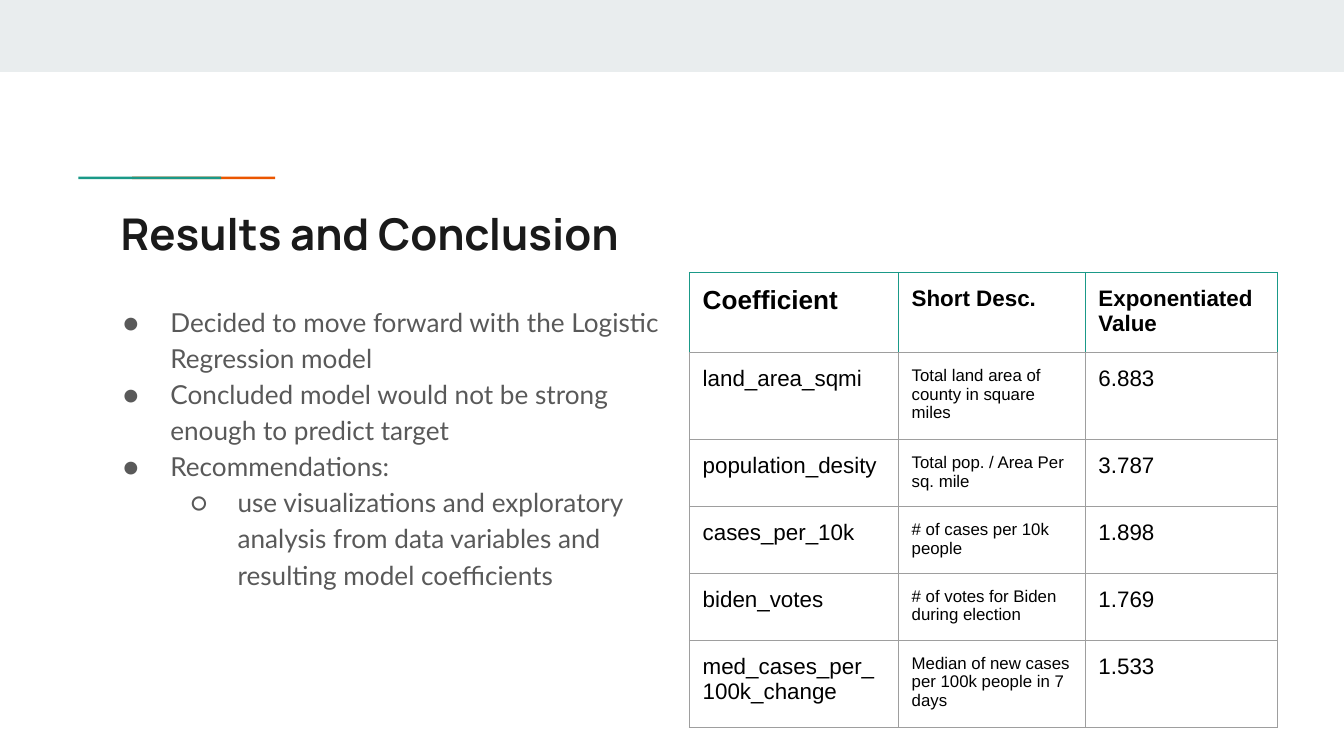
from lxml.etree import SubElement
from pptx import Presentation
from pptx.dml.color import RGBColor as Rgb
from pptx.enum.shapes import MSO_SHAPE as Shape
from pptx.oxml.ns import qn
from pptx.util import Cm, Pt

COLORS = {
    "band": "E9EDEE", "teal": "1A9988", "orange": "EB5600",
    "title": "1A1A1A", "body": "595959", "table": "000000", "grid": "9E9E9E",
}

TITLE = "Results and Conclusion"
BULLETS = [  # level, text
    (0, "Decided to move forward with the Logistic Regression model"),
    (0, "Concluded model would not be strong enough to predict target"),
    (0, "Recommendations:"),
    (1, "use visualizations and exploratory analysis from data variables "
        "and resulting model coefficients"),
]
BULLET_SIGNS = ["●", "○"]
HEADER = ("Coefficient", "Short Desc.", "Exponentiated Value")
ROWS = [
    ("land_area_sqmi", "Total land area of county in square miles", "6.883"),
    ("population_desity", "Total pop. / Area Per sq. mile", "3.787"),
    ("cases_per_10k", "# of cases per 10k people", "1.898"),
    ("biden_votes", "# of votes for Biden during election", "1.769"),
    ("med_cases_per_100k_change", "Median of new cases per 100k people in 7 days", "1.533"),
]
HEADER_SIZES = (14, 12, 12)
ROW_SIZES = (12, 9, 12)
COLUMN_WIDTHS = (3.95, 3.53, 3.63)
ROW_HEIGHTS = (1.46, 1.57, 1.22, 1.22, 1.22, 1.57)

BARS = [  # color, left, top, width, height
    ("band", 0, 0, 25.4, 1.36),
    ("orange", 2.5, 3.34, 2.7, 0.05),
    ("teal", 1.48, 3.34, 2.7, 0.05),
]
TITLE_BOX = (2.03, 3.66, 21.36, 1.5)
BODY_BOX = (1.7, 5.46, 11.15, 8.26)
TABLE_CORNER = (13.03, 5.15)
MARGINS = {f"margin_{side}": Cm(0.25) for side in ("left", "top", "right", "bottom")}


def set_values(target, values):
    for name, value in values.items():
        setattr(target, name, value)


def write(paragraph, text, font, size, color, bold=False):
    run = paragraph.add_run()
    run.text = text
    set_values(run.font, {"name": font, "size": Pt(size), "bold": bold})
    run.font.color.rgb = Rgb.from_string(COLORS[color])


def add_text_frame(slide, box):
    frame = slide.shapes.add_textbox(*map(Cm, box)).text_frame
    set_values(frame, {"word_wrap": True, **MARGINS})
    return frame


def add_bullet(paragraph, level):
    paragraph.line_spacing = 1.15
    properties = paragraph._p.get_or_add_pPr()
    properties.set("lvl", str(level))
    properties.set("marL", str(Cm(1.27 * (level + 1))))
    properties.set("indent", str(-Cm(0.89)))
    color = SubElement(properties, qn("a:buClr"))
    SubElement(color, qn("a:srgbClr"), val=COLORS["body"])
    SubElement(properties, qn("a:buFont"), typeface="Lato")
    SubElement(properties, qn("a:buChar"), char=BULLET_SIGNS[level])


def add_borders(cell, color):
    properties = cell._tc.get_or_add_tcPr()
    for side in ("L", "R", "T", "B"):
        line = SubElement(properties, qn(f"a:ln{side}"), w=str(Pt(0.75)))
        fill = SubElement(line, qn("a:solidFill"))
        SubElement(fill, qn("a:srgbClr"), val=COLORS[color])


def add_bars(slide):
    for color, *box in BARS:
        bar = slide.shapes.add_shape(Shape.RECTANGLE, *map(Cm, box))
        bar.shadow.inherit = False
        bar.fill.solid()
        bar.fill.fore_color.rgb = Rgb.from_string(COLORS[color])
        bar.line.fill.background()


def add_bullets(slide):
    frame = add_text_frame(slide, BODY_BOX)
    for number, (level, text) in enumerate(BULLETS):
        paragraph = frame.add_paragraph() if number else frame.paragraphs[0]
        add_bullet(paragraph, level)
        write(paragraph, text, "Lato", 14, "body")


def add_coefficients(slide):
    rows = [HEADER, *ROWS]
    size = (sum(COLUMN_WIDTHS), sum(ROW_HEIGHTS))
    table = slide.shapes.add_table(
        len(rows), len(HEADER), *map(Cm, TABLE_CORNER + size)).table
    set_values(table, {"first_row": False, "horz_banding": False})
    for column, width in zip(table.columns, COLUMN_WIDTHS):
        column.width = Cm(width)
    for row_number, (texts, height) in enumerate(zip(rows, ROW_HEIGHTS)):
        table.rows[row_number].height = Cm(height)
        is_header = row_number == 0
        sizes = HEADER_SIZES if is_header else ROW_SIZES
        for column_number, (text, points) in enumerate(zip(texts, sizes)):
            cell = table.cell(row_number, column_number)
            set_values(cell, MARGINS)
            add_borders(cell, "teal" if is_header else "grid")
            cell.fill.background()
            write(cell.text_frame.paragraphs[0], text, "Arial", points, "table", is_header)


def main():
    presentation = Presentation()
    set_values(presentation, {"slide_width": Cm(25.4), "slide_height": Cm(14.29)})
    slide = presentation.slides.add_slide(presentation.slide_layouts[6])
    add_bars(slide)
    title = add_text_frame(slide, TITLE_BOX).paragraphs[0]
    write(title, TITLE, "Manrope", 23.4, "title", bold=True)
    add_bullets(slide)
    add_coefficients(slide)
    presentation.save("out.pptx")


if __name__ == "__main__":
    main()
